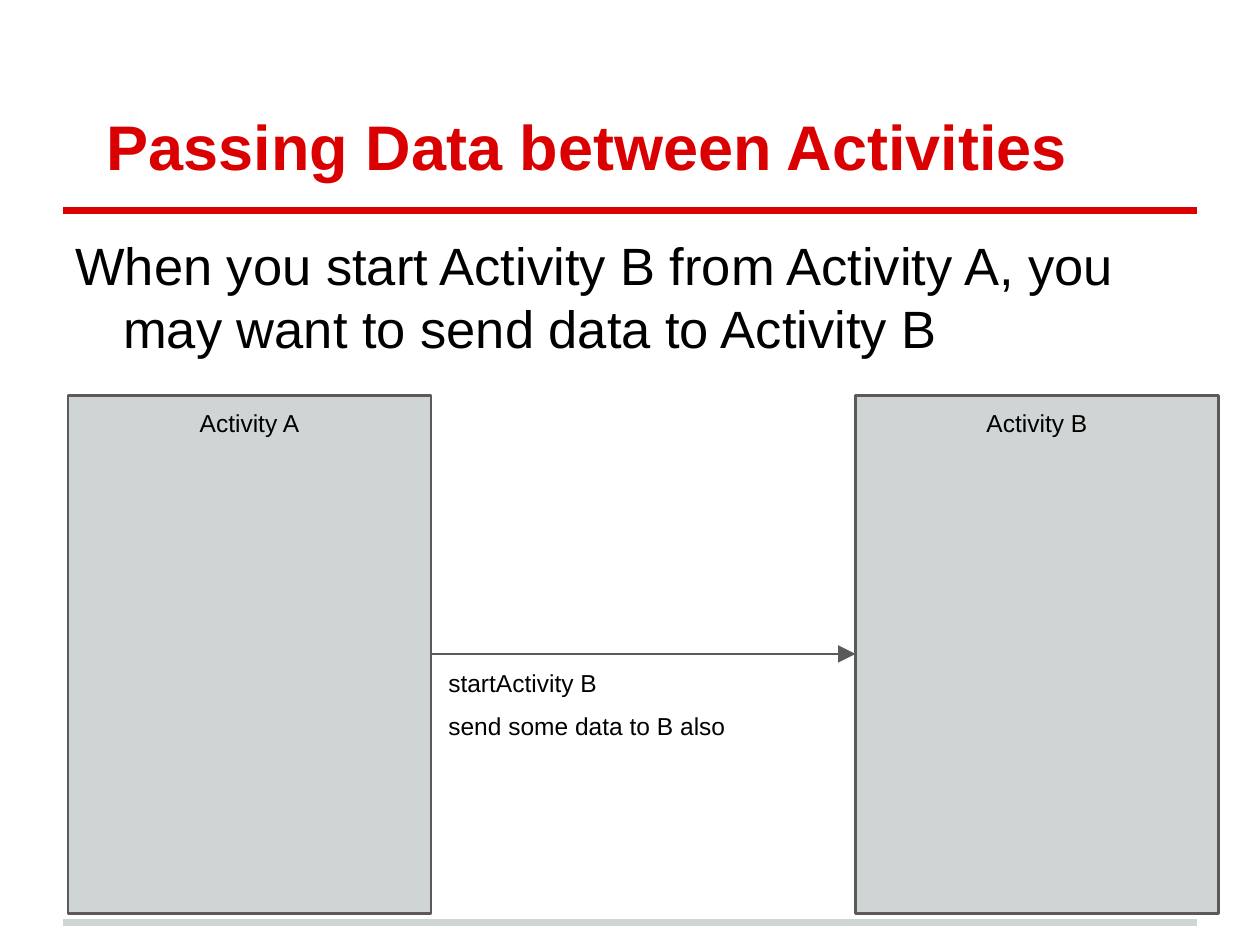
from typing import NamedTuple

from lxml import etree
from pptx import Presentation
from pptx.dml.color import RGBColor
from pptx.enum import shapes, text
from pptx.oxml.ns import qn
from pptx.util import Inches, Pt

RED, GREY, DARK, BLACK = "DA0002", "CFD4D4", "5B595A", "000000"
PANEL_TOP, PANEL_WIDTH, PANEL_HEIGHT = 3.14, 2.88, 4.11
ARROW_Y = 5.19


class Panel(NamedTuple):
    label: str
    left: float


class Caption(NamedTuple):
    words: str
    top: float


def rgb(value: str) -> RGBColor:
    return RGBColor.from_string(value)


def write(shape, words: str, *, size: float = 14, color: str = BLACK, bold: bool = False,
          align=text.PP_ALIGN.LEFT, anchor=text.MSO_ANCHOR.TOP,
          margin: float = 0, indent: float = 0, before: float = 0) -> None:
    frame = shape.text_frame
    frame.word_wrap = True
    frame.vertical_anchor = anchor
    frame.margin_left = frame.margin_right = Inches(0.1)
    frame.margin_top = frame.margin_bottom = Inches(0.1)
    paragraph = frame.paragraphs[0]
    paragraph.alignment = align
    paragraph.space_before = Pt(before)
    properties = paragraph._p.get_or_add_pPr()
    properties.set("marL", str(Inches(margin)))
    properties.set("indent", str(Inches(indent)))
    run = paragraph.add_run()
    run.text = words
    run.font.name = "Arial"
    run.font.size = Pt(size)
    run.font.bold = bold
    run.font.color.rgb = rgb(color)


def add_text(slide, left: float, top: float, width: float, height: float,
             words: str, **style) -> None:
    box = slide.shapes.add_textbox(Inches(left), Inches(top), Inches(width), Inches(height))
    write(box, words, **style)


def add_line(slide, start: float, end: float, y: float, color: str, weight: float,
             arrow: bool = False) -> None:
    line = slide.shapes.add_connector(
        shapes.MSO_CONNECTOR.STRAIGHT, Inches(start), Inches(y), Inches(end), Inches(y))
    line.line.color.rgb = rgb(color)
    line.line.width = Pt(weight)
    if arrow:
        etree.SubElement(line.line._get_or_add_ln(), qn("a:tailEnd"),
                         type="triangle", w="lg", len="lg")
    etree.SubElement(line._element.spPr, qn("a:effectLst"))


def add_panel(slide, panel: Panel) -> None:
    box = slide.shapes.add_shape(
        shapes.MSO_SHAPE.RECTANGLE, Inches(panel.left), Inches(PANEL_TOP),
        Inches(PANEL_WIDTH), Inches(PANEL_HEIGHT))
    box.shadow.inherit = False
    box.fill.solid()
    box.fill.fore_color.rgb = rgb(GREY)
    box.line.color.rgb = rgb(DARK)
    box.line.width = Pt(1.5)
    write(box, panel.label, align=text.PP_ALIGN.CENTER)


def main() -> None:
    deck = Presentation()
    deck.slide_width, deck.slide_height = Inches(10), Inches(7.5)
    slide = deck.slides.add_slide(deck.slide_layouts[6])

    add_line(slide, 0.5, 9.5, 7.32, GREY, 4)
    add_line(slide, 0.5, 9.5, 1.67, RED, 4)
    add_text(slide, 0.5, 0.3, 9, 1.25, "Passing Data between Activities",
             size=36, color=RED, bold=True, anchor=text.MSO_ANCHOR.BOTTOM, indent=0.25)
    add_text(slide, 0.5, 1.75, 9, 1.3,
             "When you start Activity B from Activity A, you may want to send data to Activity B",
             size=30, margin=0.38, indent=-0.38, before=6)

    sender, receiver = Panel("Activity A", 0.54), Panel("Activity B", 6.79)
    for panel in (sender, receiver):
        add_panel(slide, panel)
    add_line(slide, sender.left + PANEL_WIDTH, receiver.left, ARROW_Y, DARK, 1.5, arrow=True)

    for caption in (Caption("startActivity B", 5.2), Caption("send some data to B also", 5.54)):
        add_text(slide, 3.46, caption.top, 3, 0.49, caption.words)

    deck.save("out.pptx")


main()
